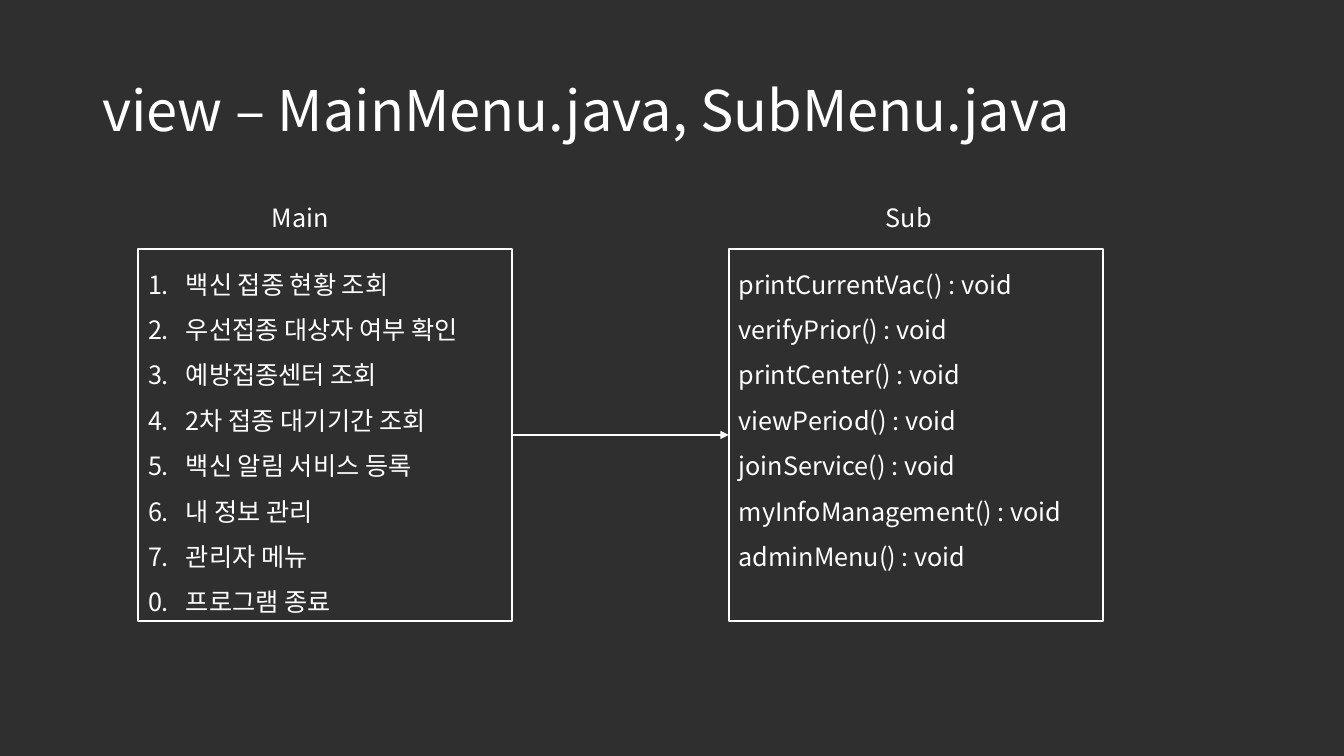
from pptx import Presentation
from pptx import util as u
from pptx.dml.color import RGBColor
from pptx.enum import shapes, text
from pptx.oxml.ns import qn
from lxml import etree

COLOURS = {"background": "2F2F2F", "foreground": "FFFFFF"}
FONT = "Noto Sans CJK KR"
BOX_TOP, BOX_WIDTH, BOX_HEIGHT = 177.84, 267.12, 265.68
MAIN_LEFT, SUB_LEFT = 98.64, 520.56
LABEL_TOP = 141.12
HANGING = 27
MAIN_ITEMS = [
    "백신 접종 현황 조회",
    "우선접종 대상자 여부 확인",
    "예방접종센터 조회",
    "2차 접종 대기기간 조회",
    "백신 알림 서비스 등록",
    "내 정보 관리",
    "관리자 메뉴",
]
EXIT_ITEM = "0.\t프로그램 종료"
SUB_METHODS = [
    "printCurrentVac", "verifyPrior", "printCenter", "viewPeriod",
    "joinService", "myInfoManagement", "adminMenu",
]


def colour(name):
    return RGBColor.from_string(COLOURS[name])


def add_lines(shape, lines, size, spacing, anchor=text.MSO_ANCHOR.TOP):
    frame = shape.text_frame
    frame.word_wrap = True
    frame.auto_size = text.MSO_AUTO_SIZE.NONE
    frame.vertical_anchor = anchor
    for index, line in enumerate(lines):
        paragraph = frame.paragraphs[0] if index == 0 else frame.add_paragraph()
        paragraph.alignment = text.PP_ALIGN.LEFT
        paragraph.line_spacing = spacing
        run = paragraph.add_run()
        run.text = line
        run.font.size = u.Pt(size)
        run.font.name = FONT
        run.font.color.rgb = colour("foreground")
        east_asian = etree.SubElement(run.font._element, qn("a:ea"))
        east_asian.set("typeface", FONT)


def add_label(slide, left, top, width, height, wording, size=18, spacing=1.0,
              anchor=text.MSO_ANCHOR.TOP):
    label = slide.shapes.add_textbox(*map(u.Pt, (left, top, width, height)))
    add_lines(label, [wording], size, spacing, anchor)


def add_menu_box(slide, left, lines):
    box = slide.shapes.add_shape(
        shapes.MSO_SHAPE.RECTANGLE,
        *map(u.Pt, (left, BOX_TOP, BOX_WIDTH, BOX_HEIGHT)))
    box.shadow.inherit = False
    box.fill.background()
    box.line.color.rgb = colour("foreground")
    box.line.width = u.Pt(1.5)
    add_lines(box, lines, 18, 1.5)
    return box


def number_items(box, count):
    for index, paragraph in enumerate(box.text_frame.paragraphs):
        properties = paragraph._p.get_or_add_pPr()
        properties.set("marL", str(u.Pt(HANGING)))
        properties.set("indent", str(u.Pt(-HANGING)))
        if index < count:
            bullet = etree.SubElement(properties, qn("a:buAutoNum"))
            bullet.set("type", "arabicPeriod")


def add_arrow(slide, source, target):
    arrow = slide.shapes.add_connector(shapes.MSO_CONNECTOR.STRAIGHT, 0, 0, 0, 0)
    arrow.begin_connect(source, 3)
    arrow.end_connect(target, 1)
    arrow.line.color.rgb = colour("foreground")
    arrow.line.width = u.Pt(1.5)
    head = etree.SubElement(arrow.line._get_or_add_ln(), qn("a:tailEnd"))
    head.set("type", "triangle")
    etree.SubElement(arrow._element.spPr, qn("a:effectLst"))


def main():
    presentation = Presentation()
    presentation.slide_width = u.Pt(960)
    presentation.slide_height = u.Pt(540)
    slide = presentation.slides.add_slide(presentation.slide_layouts[6])
    slide.background.fill.solid()
    slide.background.fill.fore_color.rgb = colour("background")

    add_label(slide, 66, 28.8, 828, 104.4, "view – MainMenu.java, SubMenu.java",
              40, 0.9, text.MSO_ANCHOR.MIDDLE)
    main_box = add_menu_box(slide, MAIN_LEFT, MAIN_ITEMS + [EXIT_ITEM])
    number_items(main_box, len(MAIN_ITEMS))
    add_label(slide, 187.2, LABEL_TOP, 60, 28.8, "Main")
    sub_box = add_menu_box(slide, SUB_LEFT, [f"{name}() : void" for name in SUB_METHODS])
    add_label(slide, 625.68, LABEL_TOP, 60, 28.8, "Sub")
    add_arrow(slide, main_box, sub_box)
    presentation.save("out.pptx")


main()
